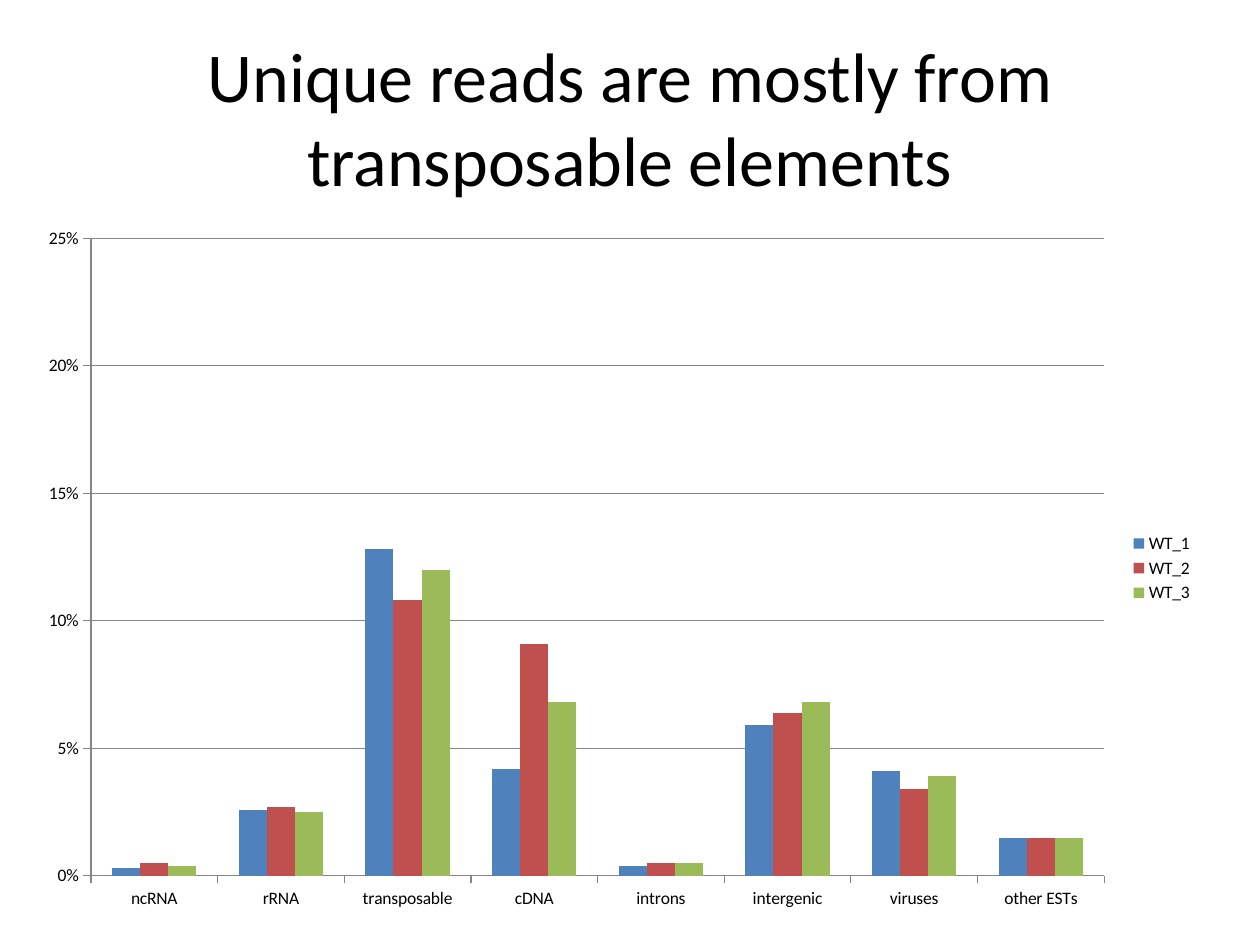
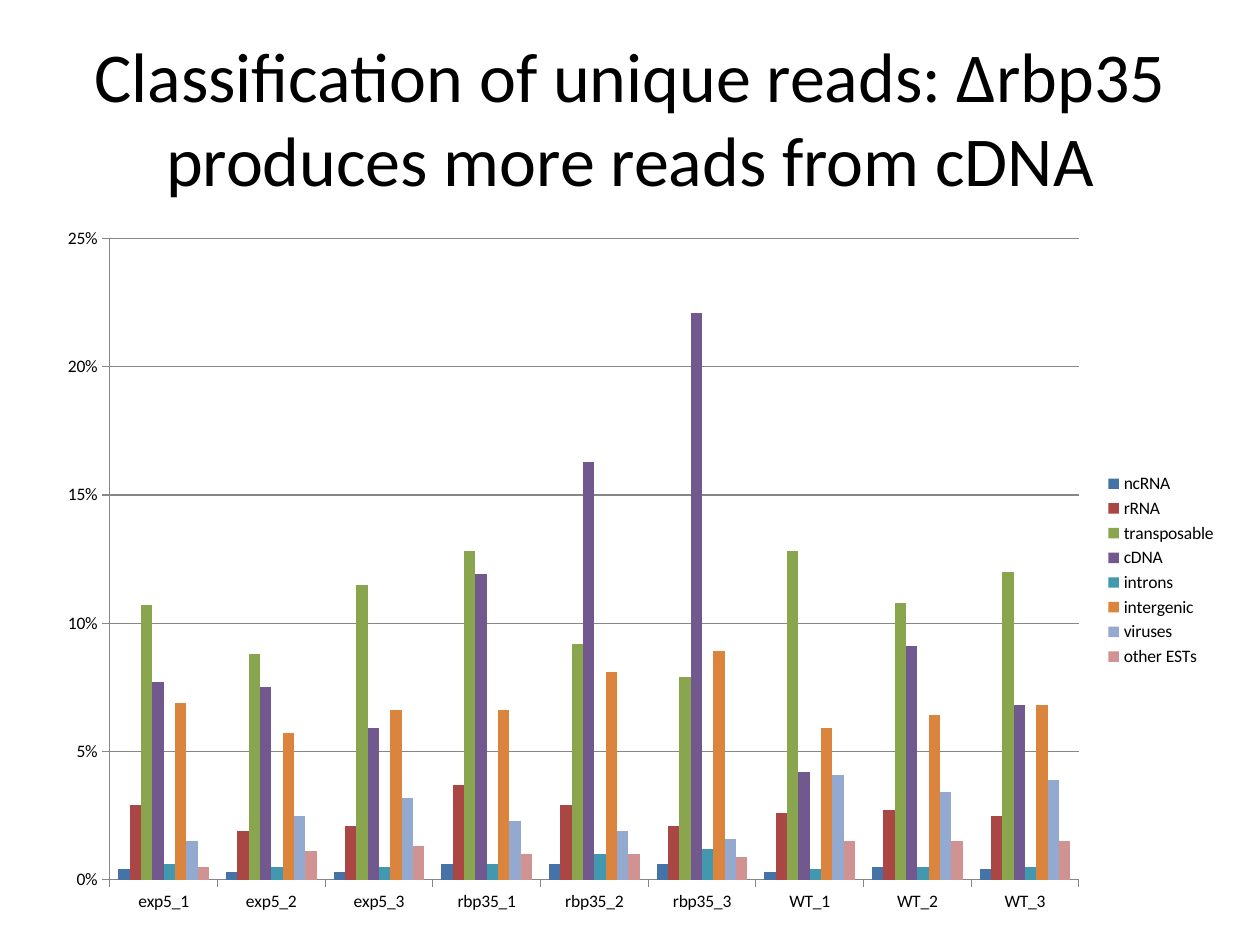
"""Build two slides that chart the classification of unique reads."""
from pptx import Presentation
from pptx.chart.data import CategoryChartData
from pptx.dml.color import RGBColor
from pptx.enum.chart import XL_CHART_TYPE as ChartType
from pptx.enum.chart import XL_LEGEND_POSITION as LegendPos
from pptx.enum.chart import XL_TICK_MARK as Tick
from pptx.enum.text import MSO_ANCHOR as Anchor
from pptx.enum.text import PP_ALIGN as Align
from pptx.util import Cm, Pt

FONT = "Calibri"
BLACK, GRID = "000000", "868686"

SAMPLES = ["exp5_1", "exp5_2", "exp5_3", "rbp35_1", "rbp35_2", "rbp35_3",
           "WT_1", "WT_2", "WT_3"]
READS = {
    "ncRNA": [0.004, 0.003, 0.003, 0.006, 0.006, 0.006, 0.003, 0.005, 0.004],
    "rRNA": [0.029, 0.019, 0.021, 0.037, 0.029, 0.021, 0.026, 0.027, 0.025],
    "transposable": [0.107, 0.088, 0.115, 0.128, 0.092, 0.079, 0.128, 0.108, 0.12],
    "cDNA": [0.077, 0.075, 0.059, 0.119, 0.163, 0.221, 0.042, 0.091, 0.068],
    "introns": [0.006, 0.005, 0.005, 0.006, 0.01, 0.012, 0.004, 0.005, 0.005],
    "intergenic": [0.069, 0.057, 0.066, 0.066, 0.081, 0.089, 0.059, 0.064, 0.068],
    "viruses": [0.015, 0.025, 0.032, 0.023, 0.019, 0.016, 0.041, 0.034, 0.039],
    "other ESTs": [0.005, 0.011, 0.013, 0.01, 0.01, 0.009, 0.015, 0.015, 0.015],
}
WILD_TYPE = {name: [vals[i] for vals in READS.values()]
             for i, name in enumerate(SAMPLES) if name.startswith("WT")}

SLIDES = [
    {"title": "Unique reads are mostly from transposable elements",
     "box": (0.51, 4.32, 23.8, 14.27),
     "cats": list(READS), "series": WILD_TYPE,
     "colours": ["4F81BD", "C0504D", "9BBB59"]},
    {"title": "Classification of unique reads: ∆rbp35 produces more reads from cDNA",
     "box": (0.89, 4.32, 23.9, 14.35),
     "cats": SAMPLES, "series": READS,
     "colours": ["4572A7", "AA4643", "89A54E", "71588F",
                 "4198AF", "DB843D", "93A9CF", "D19392"]},
]


def rgb(colour):
    """Turn a hex string into a colour."""
    return RGBColor.from_string(colour)


def style_font(font, size):
    """Apply the shared typeface and text colour."""
    font.name, font.size, font.bold = FONT, Pt(size), False
    font.color.rgb = rgb(BLACK)


def style_line(line):
    """Apply the thin grey line of axes and gridlines."""
    line.color.rgb = rgb(GRID)
    line.width = Pt(0.75)


def add_title(s, text):
    """Place and fill the title."""
    sp = s.shapes.title
    sp.left, sp.top, sp.width, sp.height = Cm(1.27), Cm(0.76), Cm(22.86), Cm(3.18)
    tf = sp.text_frame
    tf.word_wrap, tf.vertical_anchor = True, Anchor.MIDDLE
    p = tf.paragraphs[0]
    p.alignment = Align.CENTER
    r = p.add_run()
    r.text = text
    style_font(r.font, 40)


def add_column_chart(s, box, cats, series, colours):
    """Add a clustered column chart of read shares."""
    data = CategoryChartData(number_format="0%")
    data.categories = cats
    for name, vals in series.items():
        data.add_series(name, vals)
    chart = s.shapes.add_chart(
        ChartType.COLUMN_CLUSTERED, *map(Cm, box), data).chart
    chart.has_title = False
    style_font(chart.font, 10)
    chart.has_legend = True
    chart.legend.position = LegendPos.RIGHT
    chart.legend.include_in_layout = False

    for axis in (chart.category_axis, chart.value_axis):
        axis.major_tick_mark, axis.minor_tick_mark = Tick.OUTSIDE, Tick.NONE
        style_line(axis.format.line)
    value_axis = chart.value_axis
    value_axis.minimum_scale, value_axis.maximum_scale = 0, 0.25
    value_axis.major_unit = 0.05
    value_axis.tick_labels.number_format = "0%"
    value_axis.tick_labels.number_format_is_linked = False
    value_axis.has_major_gridlines = True
    style_line(value_axis.major_gridlines.format.line)

    plot = chart.plots[0]
    plot.gap_width, plot.overlap, plot.vary_by_categories = 150, 0, False
    for bars, colour in zip(plot.series, colours):
        bars.invert_if_negative = False
        bars.format.fill.solid()
        bars.format.fill.fore_color.rgb = rgb(colour)


def main():
    """Build and save the presentation."""
    prs = Presentation()
    prs.slide_width, prs.slide_height = Cm(25.4), Cm(19.05)
    for content in SLIDES:
        s = prs.slides.add_slide(prs.slide_layouts[5])
        add_title(s, content["title"])
        add_column_chart(s, content["box"], content["cats"],
                         content["series"], content["colours"])
    prs.save("out.pptx")


if __name__ == "__main__":
    main()
